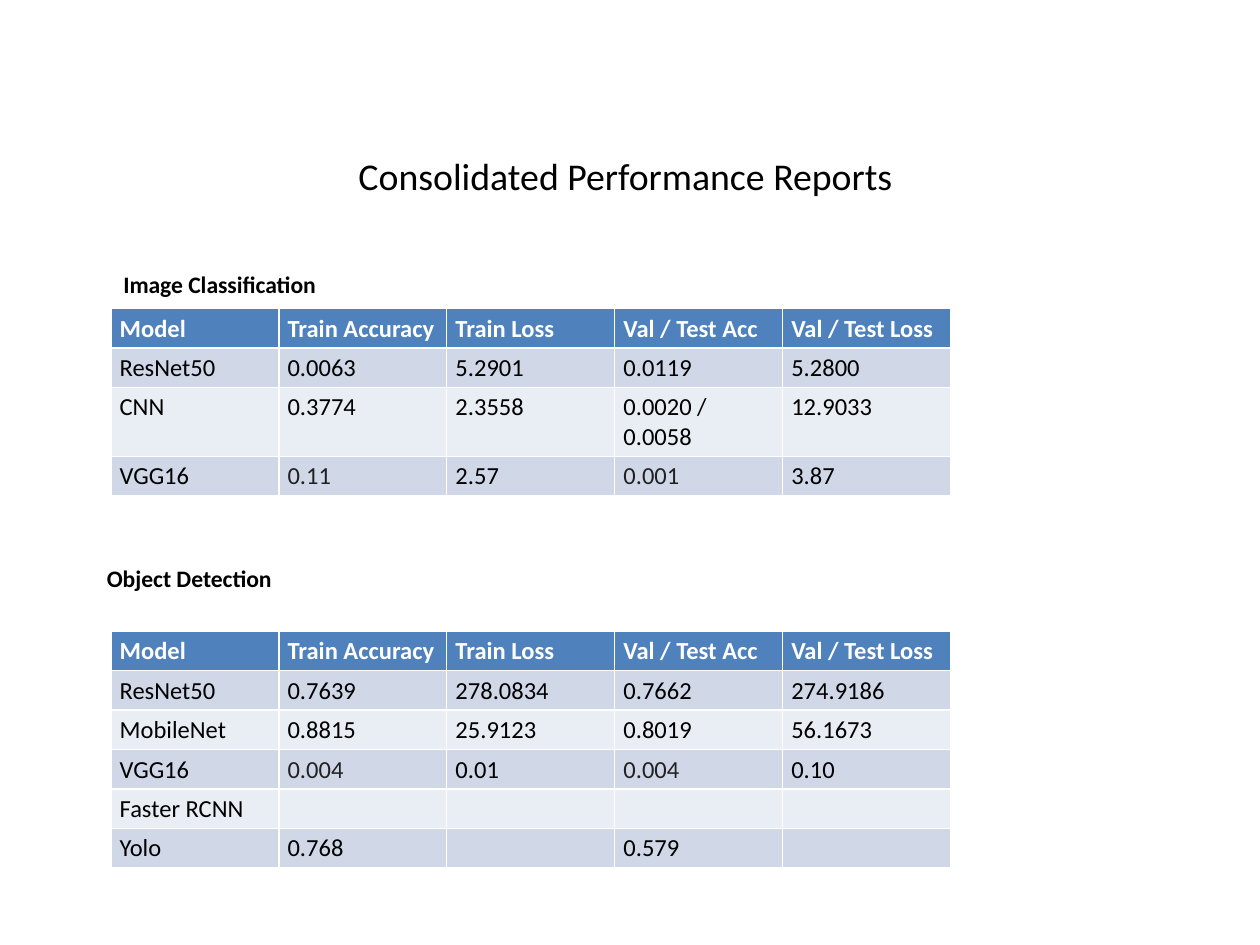
from dataclasses import dataclass

from pptx import Presentation
from pptx.dml.color import RGBColor
from pptx.enum.text import MSO_ANCHOR, MSO_AUTO_SIZE, PP_ALIGN
from pptx.util import Inches, Pt

CENTER, LEFT = PP_ALIGN.CENTER, PP_ALIGN.LEFT
MIDDLE, TOP = MSO_ANCHOR.MIDDLE, MSO_ANCHOR.TOP
FIT_SHAPE = MSO_AUTO_SIZE.SHAPE_TO_FIT_TEXT


@dataclass(frozen=True)
class Theme:
    font: str = "Calibri"
    title_size: float = 21.6
    heading_size: float = 13.5
    cell_size: float = 14
    text: str = "000000"
    soft_text: str = "212121"
    header_text: str = "FFFFFF"
    header_fill: str = "4F81BD"
    bands: tuple = ("D0D8E8", "E9EDF4")


THEME = Theme()
TABLE_LEFT = 0.88
COLUMN_WIDTH = 1.333
ROW_HEIGHT = 0.3
HEADING_HEIGHT = 0.33
HEADERS = ("Model", "Train Accuracy", "Train Loss", "Val / Test Acc", "Val / Test Loss")
SOFT_MODEL, SOFT_COLUMNS = "VGG16", (1, 3)

# heading, its left, top and width, the top of its table, and the table's body
REPORTS = (
    ("Image Classification", 0.88, 2.09, 1.75, 2.45, (
        ("ResNet50", "0.0063", "5.2901", "0.0119", "5.2800"),
        ("CNN", "0.3774", "2.3558", "0.0020 / 0.0058", "12.9033"),
        ("VGG16", "0.11", "2.57", "0.001", "3.87"),
    )),
    ("Object Detection", 0.75, 4.43, 1.53, 5.01, (
        ("ResNet50", "0.7639", "278.0834", "0.7662", "274.9186"),
        ("MobileNet", "0.8815", "25.9123", "0.8019", "56.1673"),
        ("VGG16", "0.004", "0.01", "0.004", "0.10"),
        ("Faster RCNN", "", "", "", ""),
        ("Yolo", "0.768", "", "0.579", ""),
    )),
)


def style(paragraph, size, color, bold=False):
    font = paragraph.font
    font.name, font.size, font.bold = THEME.font, Pt(size), bold
    font.color.rgb = RGBColor.from_string(color)


def add_label(text, box, size, bold, align, anchor):
    """Add one line of text in a box given as left, top, width, height in inches."""
    frame = slide.shapes.add_textbox(*map(Inches, box)).text_frame
    frame.text = text
    frame.vertical_anchor = anchor
    frame.paragraphs[0].alignment = align
    style(frame.paragraphs[0], size, THEME.text, bold)
    return frame


prs = Presentation()
prs.slide_width, prs.slide_height = Inches(10), Inches(7.5)
slide = prs.slides.add_slide(prs.slide_layouts[6])

title = add_label("Consolidated Performance Reports", (1.62, 1.16, 6.69, 0.46),
                  THEME.title_size, False, CENTER, MIDDLE)
title.word_wrap = True

for heading, left, top, width, table_top, body in REPORTS:
    heading_frame = add_label(heading, (left, top, width, HEADING_HEIGHT),
                              THEME.heading_size, True, LEFT, TOP)
    heading_frame.word_wrap = False
    heading_frame.auto_size = FIT_SHAPE

    rows = (HEADERS, *body)
    table = slide.shapes.add_table(
        len(rows), len(HEADERS), Inches(TABLE_LEFT), Inches(table_top),
        Inches(COLUMN_WIDTH * len(HEADERS)), Inches(ROW_HEIGHT * len(rows))).table
    for r, values in enumerate(rows):
        is_header = r == 0
        fill = THEME.header_fill if is_header else THEME.bands[(r - 1) % 2]
        for c, value in enumerate(values):
            cell = table.cell(r, c)
            cell.margin_left = cell.margin_right = Inches(0.07)
            cell.margin_top = cell.margin_bottom = Inches(0.04)
            cell.fill.solid()
            cell.fill.fore_color.rgb = RGBColor.from_string(fill)
            cell.text = value
            is_soft = values[0] == SOFT_MODEL and c in SOFT_COLUMNS
            color = THEME.soft_text if is_soft else THEME.text
            paragraph = cell.text_frame.paragraphs[0]
            style(paragraph, THEME.cell_size,
                  THEME.header_text if is_header else color, is_header)
            if not value:  # an empty cell takes its height from the end mark
                end_mark = paragraph._p.get_or_add_endParaRPr()
                end_mark.set("sz", str(THEME.cell_size * 100))

prs.save("out.pptx")
